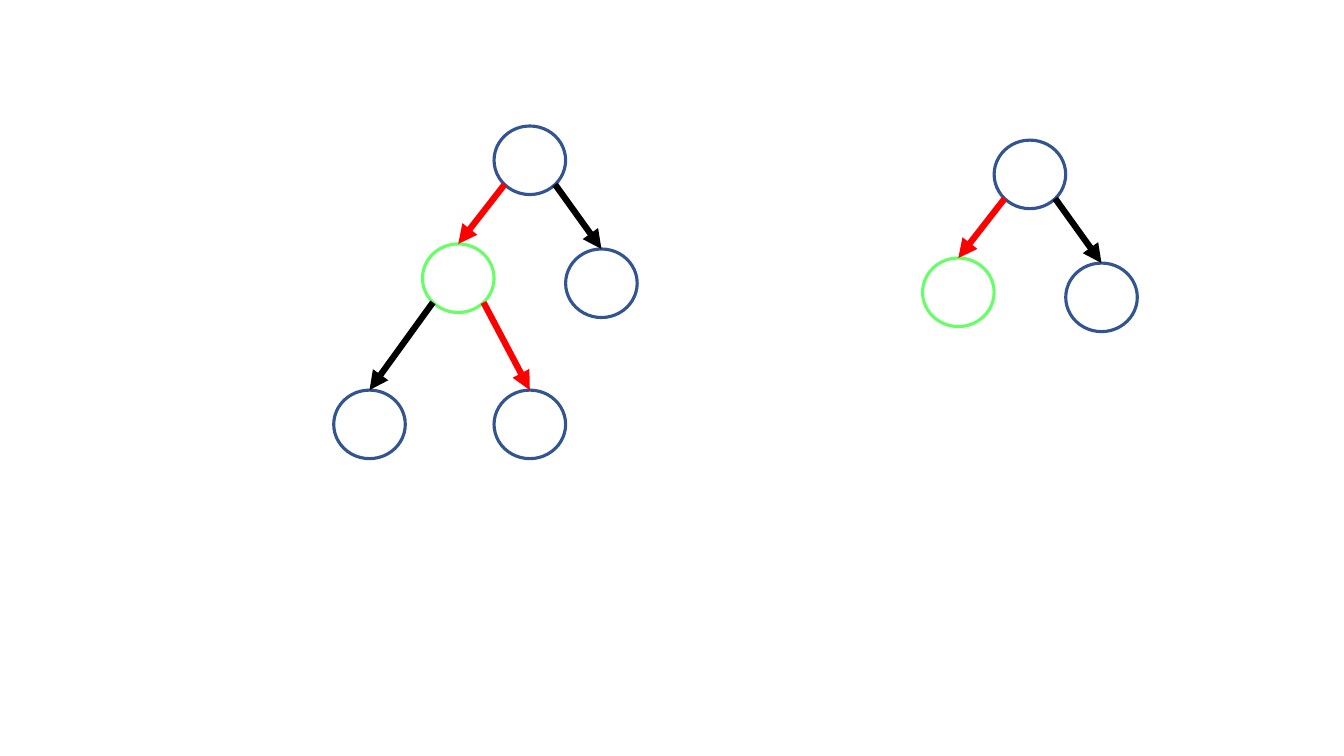
from math import sqrt

from lxml import etree
from pptx import Presentation
from pptx import util as u
from pptx.dml.color import RGBColor
from pptx.enum import shapes
from pptx.oxml.ns import qn

BLUE, GREEN, RED, BLACK = "325491", "66FF66", "FF0000", "000000"
WIDE, HIGH = 0.71, 0.68
LEFT, RIGHT = -1, 1


def color(code):
    return RGBColor.from_string(code)


class Deck:
    node_line = {"width": u.Pt(2.25)}
    edge_line = {"width": u.Pt(4.5)}

    def __init__(self, slide):
        self.slide = slide

    def style(self, line, code, form):
        line.color.rgb = color(code)
        for key, value in form.items():
            setattr(line, key, value)

    def node(self, x, y, code=BLUE):
        """Draw an empty ring with its top left corner at x, y."""
        ring = self.slide.shapes.add_shape(
            shapes.MSO_SHAPE.OVAL, *map(u.Inches, (x, y, WIDE, HIGH)))
        ring.shadow.inherit = False
        ring.fill.background()
        self.style(ring.line, code, self.node_line)
        return ring

    def edge(self, top, low, side, code):
        """Draw an arrow from the lower side of one ring to the top of another."""
        x = top.left + round(top.width / 2 * (1 + side / sqrt(2)))
        y = top.top + round(top.height / 2 * (1 + 1 / sqrt(2)))
        link = self.slide.shapes.add_connector(
            shapes.MSO_CONNECTOR.STRAIGHT, x, y, low.left + low.width // 2, low.top)
        link.end_connect(low, 0)
        self.style(link.line, code, self.edge_line)
        props = link.element.spPr
        etree.SubElement(props.find(qn("a:ln")), qn("a:tailEnd"), type="triangle")
        etree.SubElement(props, qn("a:effectLst"))

    def tree(self, x, y):
        """Draw a root with its two children; return the left child."""
        root = self.node(x, y)
        left = self.node(x - WIDE, y + 1.17, GREEN)
        right = self.node(x + WIDE, y + 1.22)
        self.edge(root, left, LEFT, RED)
        self.edge(root, right, RIGHT, BLACK)
        return left


# Page
prs = Presentation()
prs.slide_width, prs.slide_height = u.Inches(13.33), u.Inches(7.5)
deck = Deck(prs.slides.add_slide(prs.slide_layouts[6]))

# Deep tree with a third level
green = deck.tree(4.9, 1.25)
for x, side, code in ((3.31, LEFT, BLACK), (4.9, RIGHT, RED)):
    deck.edge(green, deck.node(x, 3.87), side, code)

# Shallow tree
deck.tree(9.86, 1.39)

prs.save("out.pptx")
